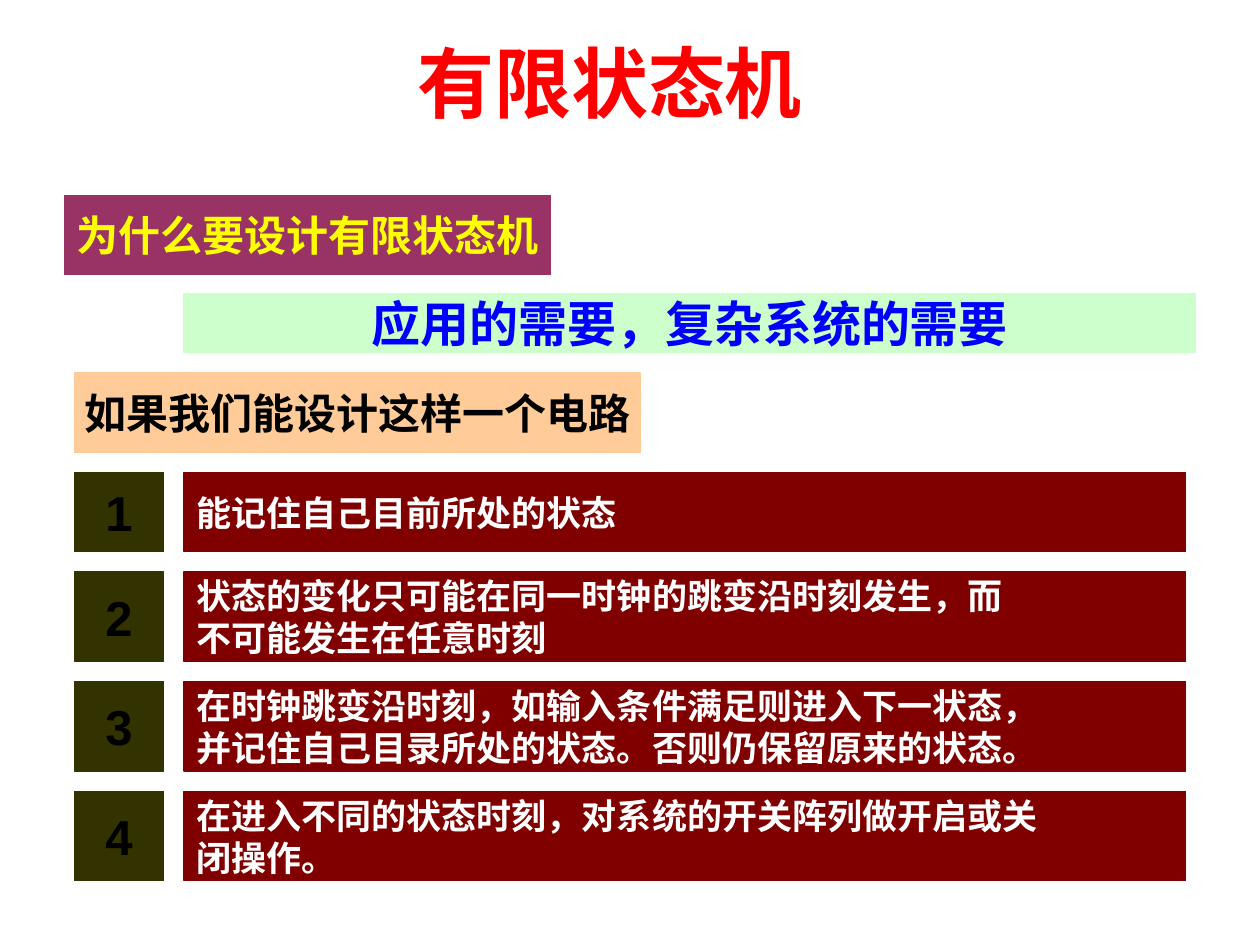
from pptx import Presentation
from pptx.dml.color import RGBColor
from pptx.enum.shapes import MSO_SHAPE
from pptx.enum.text import MSO_ANCHOR, MSO_AUTO_SIZE, PP_ALIGN
from pptx.util import Inches, Pt

RED = RGBColor(0xFF, 0x00, 0x00)
PLUM = RGBColor(0x99, 0x33, 0x66)
YELLOW = RGBColor(0xFF, 0xFF, 0x00)
MINT = RGBColor(0xCC, 0xFF, 0xCC)
BLUE = RGBColor(0x00, 0x00, 0xFF)
PEACH = RGBColor(0xFF, 0xCC, 0x99)
BLACK = RGBColor(0x00, 0x00, 0x00)
MAROON = RGBColor(0x80, 0x00, 0x00)
OLIVE = RGBColor(0x33, 0x33, 0x00)
WHITE = RGBColor(0xFF, 0xFF, 0xFF)

# Each requirement: row height in inches and its lines
REQUIREMENTS = [
    (0.63, ["能记住自己目前所处的状态"]),
    (0.71, ["状态的变化只可能在同一时钟的跳变沿时刻发生，而",
            "不可能发生在任意时刻"]),
    (0.71, ["在时钟跳变沿时刻，如输入条件满足则进入下一状态，",
            "并记住自己目录所处的状态。否则仍保留原来的状态。"]),
    (0.71, ["在进入不同的状态时刻，对系统的开关阵列做开启或关",
            "闭操作。"]),
]


def write(tf, lines, size, color, align):
    tf.word_wrap = False
    for i, line in enumerate(lines):
        p = tf.paragraphs[0] if i == 0 else tf.add_paragraph()
        p.text = line
        p.alignment = align
        p.font.name = "Arial"
        p.font.size = Pt(size)
        p.font.bold = True
        p.font.color.rgb = color


def add_title(s, text, left, top, width, height):
    sp = s.shapes.title
    sp.left, sp.top = Inches(left), Inches(top)
    sp.width, sp.height = Inches(width), Inches(height)
    tf = sp.text_frame
    tf.vertical_anchor = MSO_ANCHOR.TOP
    write(tf, [text], 44, RED, PP_ALIGN.LEFT)
    tf.auto_size = MSO_AUTO_SIZE.SHAPE_TO_FIT_TEXT


def add_box(s, lines, left, top, width, height, fill, size, color,
            align=PP_ALIGN.CENTER):
    sp = s.shapes.add_shape(MSO_SHAPE.RECTANGLE, Inches(left), Inches(top),
                            Inches(width), Inches(height))
    sp.shadow.inherit = False
    sp.fill.solid()
    sp.fill.fore_color.rgb = fill
    sp.line.color.rgb = fill
    sp.line.width = Pt(0.75)
    sp.text_frame.vertical_anchor = MSO_ANCHOR.MIDDLE
    write(sp.text_frame, lines, size, color, align)


def add_requirements(s, left, top, width, gap=0.16, number_width=0.71):
    text_left = left + number_width + gap
    text_width = width - number_width - gap
    for number, (height, lines) in enumerate(REQUIREMENTS, 1):
        add_box(s, [str(number)], left, top, number_width, height,
                OLIVE, 28, BLACK)
        add_box(s, lines, text_left, top, text_width, height,
                MAROON, 20, WHITE, PP_ALIGN.LEFT)
        top += height + gap


def main():
    prs = Presentation()
    prs.slide_width, prs.slide_height = Inches(10), Inches(7.5)
    s = prs.slides.add_slide(prs.slide_layouts[5])

    add_title(s, "有限状态机", 3.21, 0.23, 3.26, 0.84)

    # Question, answer and lead-in to the list
    add_box(s, ["为什么要设计有限状态机"], 0.51, 1.55, 3.86, 0.63,
            PLUM, 24, YELLOW)
    add_box(s, ["应用的需要，复杂系统的需要"], 1.46, 2.33, 8.03, 0.47,
            MINT, 28, BLUE)
    add_box(s, ["如果我们能设计这样一个电路"], 0.59, 2.96, 4.49, 0.63,
            PEACH, 24, BLACK)

    # Numbered requirements
    add_requirements(s, 0.59, 3.75, 8.82)

    prs.save("out.pptx")


if __name__ == "__main__":
    main()
